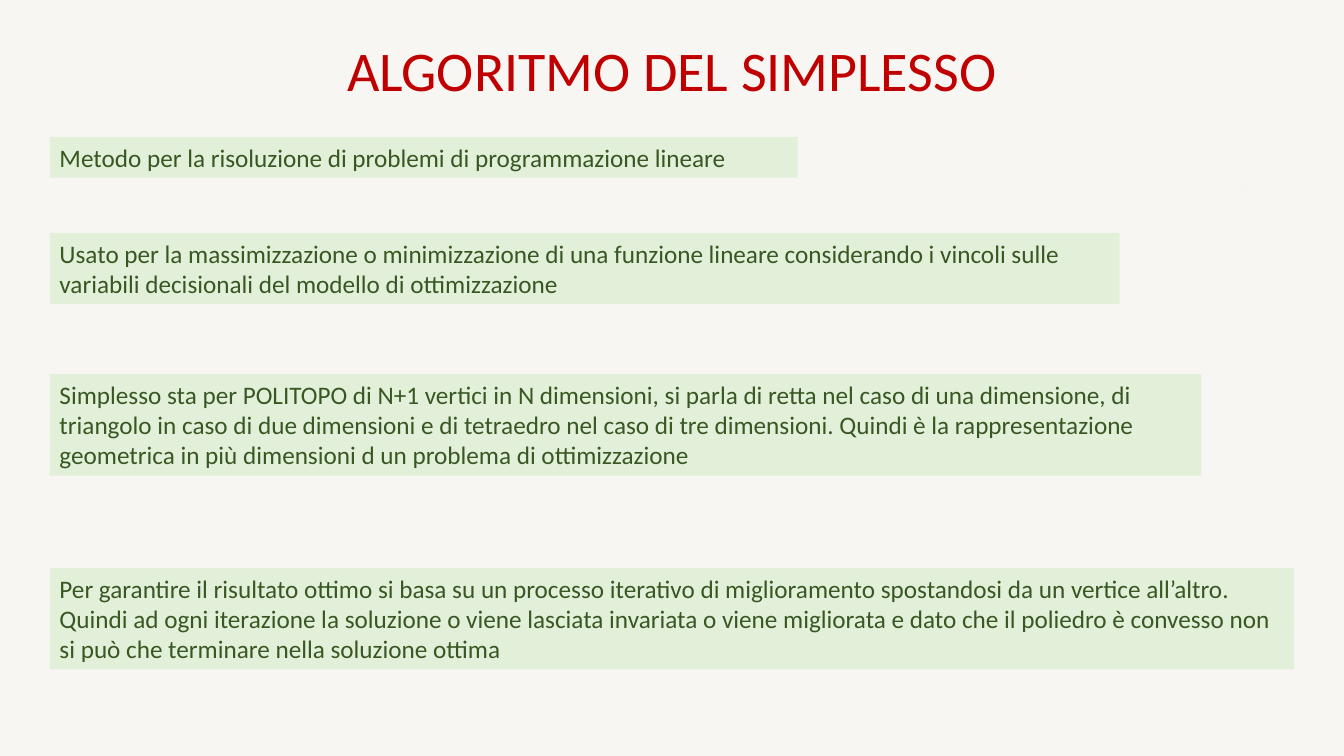
from pptx import Presentation
from pptx.dml.color import RGBColor
from pptx.enum.shapes import MSO_CONNECTOR as Link, MSO_SHAPE as Shape
from pptx.enum.text import MSO_ANCHOR as Anchor, MSO_AUTO_SIZE as Fit, PP_ALIGN as Align
from pptx.oxml.ns import qn
from pptx.util import Cm, Pt
from lxml import etree

PAPER = RGBColor(0xF7, 0xF6, 0xF3)
FAINT = RGBColor(0xFB, 0xF4, 0xEF)
RED = RGBColor(0xC0, 0x00, 0x00)
PALE = RGBColor(0xE2, 0xF0, 0xD9)
GREEN = RGBColor(0x38, 0x57, 0x23)
WIDE, HIGH = 33.87, 19.05
LEFT = 1.25


def write(frame, text, size, color, align):
    frame.word_wrap = True
    frame.auto_size = Fit.NONE
    frame.vertical_anchor = Anchor.TOP
    para = frame.paragraphs[0]
    para.alignment = align
    run = para.add_run()
    run.text = text
    run.font.name = "Calibri"
    run.font.size = Pt(size)
    run.font.color.rgb = color


deck = Presentation()
deck.slide_width, deck.slide_height = Cm(WIDE), Cm(HIGH)
slide = deck.slides.add_slide(deck.slide_layouts[5])
slide.background.fill.solid()
slide.background.fill.fore_color.rgb = PAPER

# Faint corner lines
for start, end in [(24.13, 6.53), (27, 7.49)]:
    line = slide.shapes.add_connector(Link.STRAIGHT, Cm(start), 0, Cm(WIDE), Cm(end))
    line.line.color.rgb = FAINT
    line.line.width = Pt(0.5)
    etree.SubElement(line._element.spPr, qn("a:effectLst"))

# Title
title = slide.shapes.title
title.left, title.top = Cm(6.68), Cm(0.76)
title.width, title.height = Cm(20.5), Cm(1.96)
write(title.text_frame, "ALGORITMO DEL SIMPLESSO", 40, RED, Align.CENTER)

# Green notes: top, width, height, text
notes = [
    (3.45, 18.85, 1.03, "Metodo per la risoluzione di problemi di programmazione lineare"),
    (5.87, 26.97, 1.79,
     "Usato per la massimizzazione o minimizzazione di una funzione lineare "
     "considerando i vincoli sulle variabili decisionali del modello di ottimizzazione"),
    (9.43, 29.03, 2.56,
     "Simplesso sta per POLITOPO di N+1 vertici in N dimensioni, si parla di retta "
     "nel caso di una dimensione, di triangolo in caso di due dimensioni e di "
     "tetraedro nel caso di tre dimensioni. Quindi è la rappresentazione geometrica "
     "in più dimensioni d un problema di ottimizzazione"),
    (14.31, 31.37, 2.56,
     "Per garantire il risultato ottimo si basa su un processo iterativo di "
     "miglioramento spostandosi da un vertice all’altro. Quindi ad ogni iterazione "
     "la soluzione o viene lasciata invariata o viene migliorata e dato che il "
     "poliedro è convesso non si può che terminare nella soluzione ottima"),
]
for top, width, height, text in notes:
    note = slide.shapes.add_shape(Shape.RECTANGLE, Cm(LEFT), Cm(top), Cm(width), Cm(height))
    note.shadow.inherit = False
    note.fill.solid()
    note.fill.fore_color.rgb = PALE
    note.line.fill.background()
    write(note.text_frame, text, 18, GREEN, Align.LEFT)

deck.save("out.pptx")
